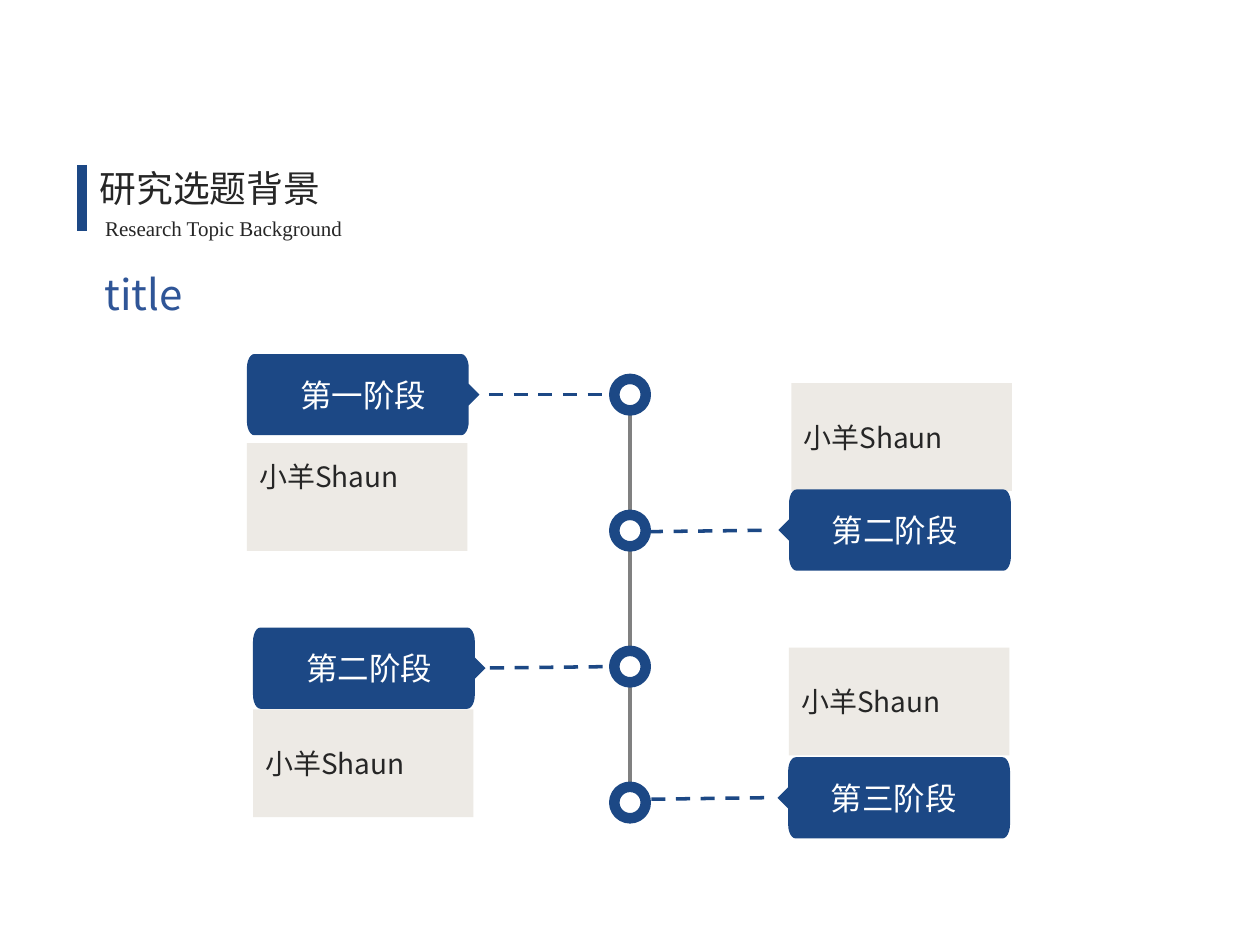
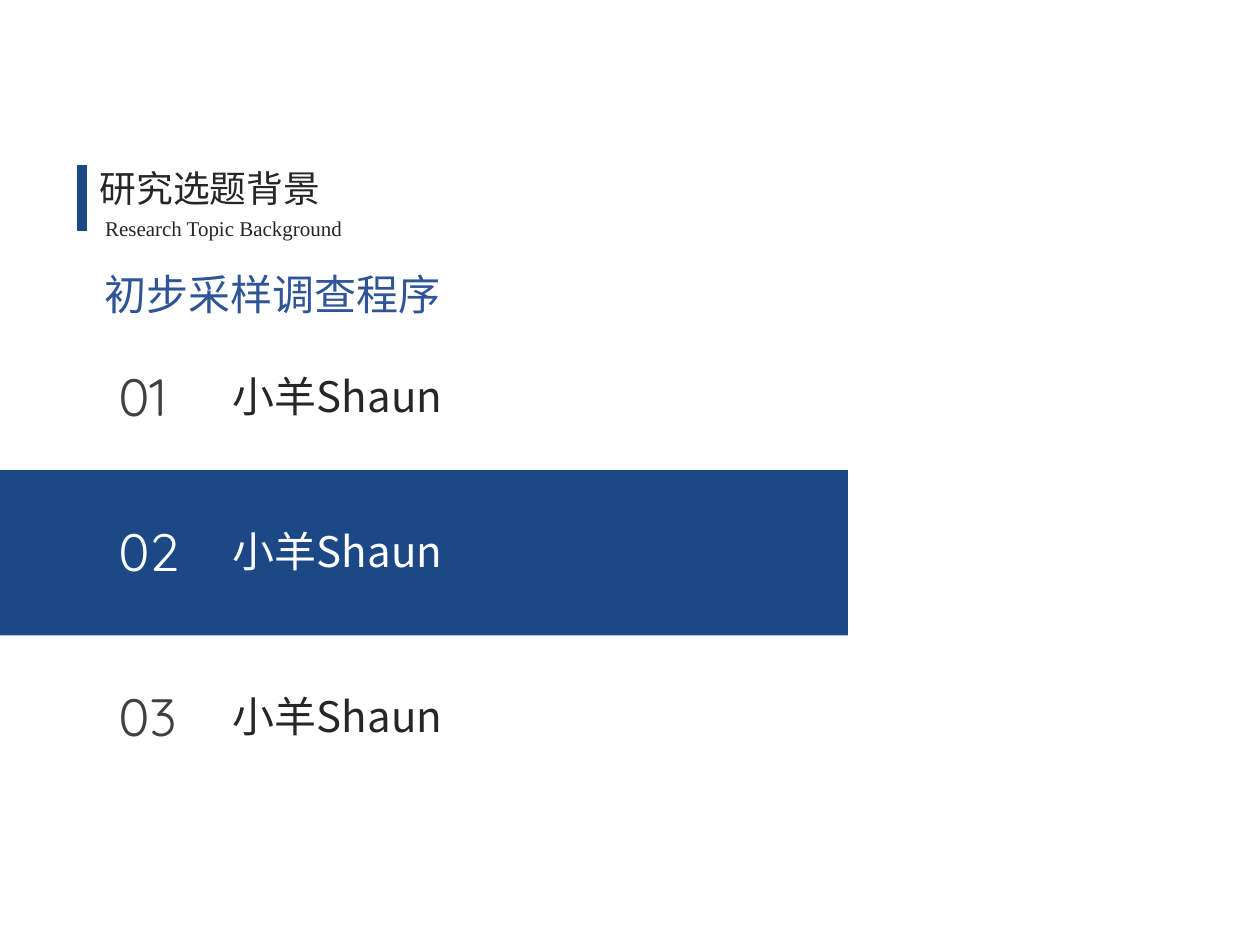
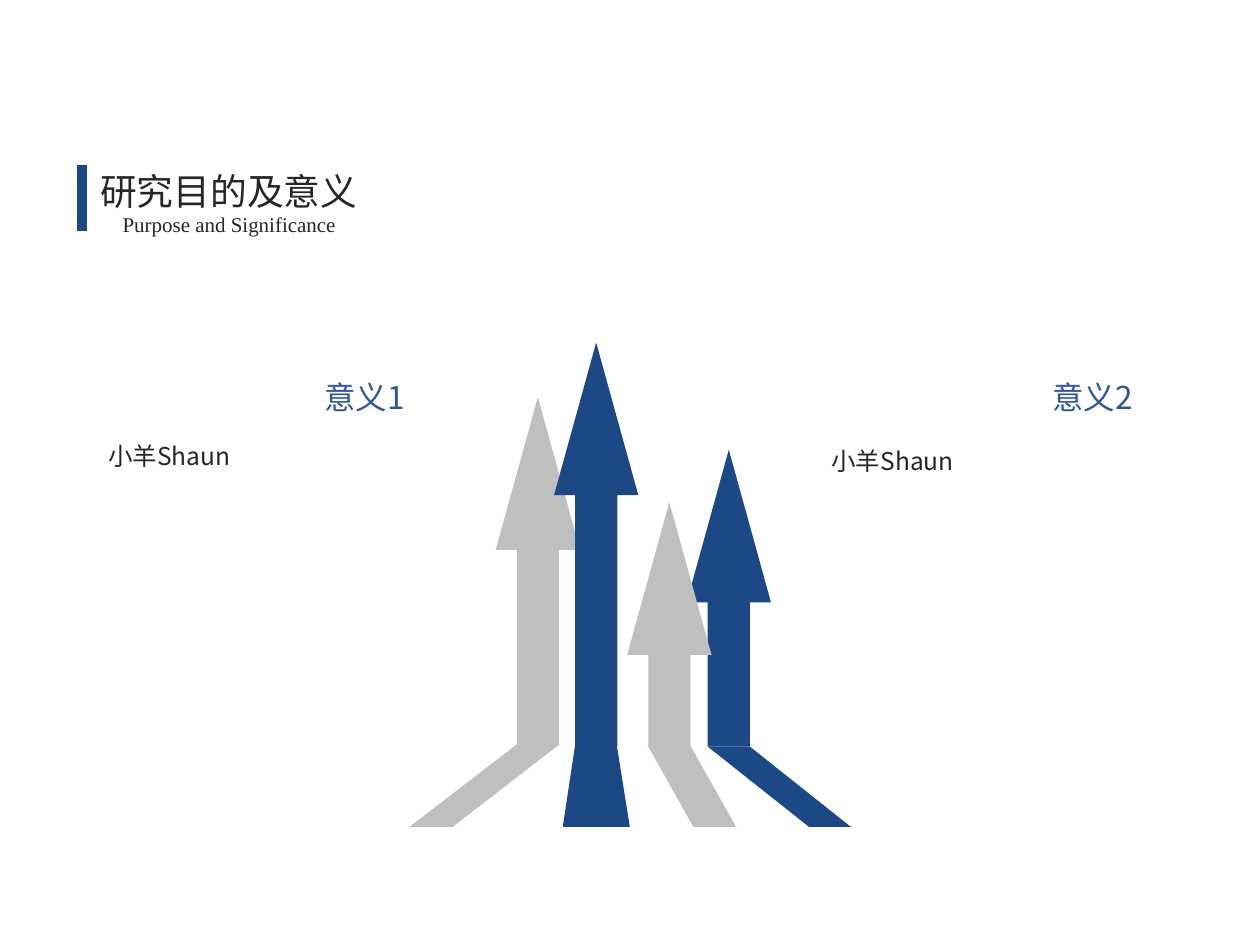
from math import cos, sin, radians
from lxml.etree import SubElement
from pptx import Presentation
from pptx.dml.color import RGBColor
from pptx.enum.dml import MSO_LINE
from pptx.enum.shapes import MSO_CONNECTOR, MSO_SHAPE
from pptx.enum.text import MSO_ANCHOR, MSO_AUTO_SIZE, PP_ALIGN
from pptx.oxml.ns import qn
from pptx.util import Pt

# Shared look
NAVY = RGBColor(0x1C, 0x48, 0x85)
BLUE = RGBColor(0x2F, 0x55, 0x97)
INK = RGBColor(0x26, 0x26, 0x26)
NUMBER_GRAY = RGBColor(0x40, 0x40, 0x40)
AXIS_GRAY = RGBColor(0x80, 0x80, 0x80)
ARROW_GRAY = RGBColor(0xBF, 0xBF, 0xBF)
SAND = RGBColor(0xED, 0xEA, 0xE5)
WHITE = RGBColor(0xFF, 0xFF, 0xFF)

SANS = "Noto Sans CJK SC"
SERIF = "Times New Roman"
DIGITS = "Quicksand"
BODY_TEXT = "小羊Shaun"

# Callout geometry
CALLOUT_WIDTH, CALLOUT_HEIGHT, TIP = 126.8, 46.4, 6.1
CORNER_X, CORNER_Y = 4.3, 8


def write(shape, text, size, color, font=SANS, align=PP_ALIGN.LEFT):
    """Fill a shape with one formatted line of text."""
    frame = shape.text_frame
    frame.text = text
    frame.word_wrap = True
    para = frame.paragraphs[0]
    para.alignment = align
    span = para.runs[0]
    span.font.size = Pt(size)
    span.font.color.rgb = color
    span.font.name = font
    east_asian = SubElement(span._r.get_or_add_rPr(), qn("a:ea"))
    east_asian.set("typeface", SANS)


def add_text(page, left, top, width, height, text, size, color, **style):
    box = page.shapes.add_textbox(Pt(left), Pt(top), Pt(width), Pt(height))
    write(box, text, size, color, **style)
    box.text_frame.auto_size = MSO_AUTO_SIZE.SHAPE_TO_FIT_TEXT


def paint(shape, color):
    shape.shadow.inherit = False
    shape.fill.solid()
    shape.fill.fore_color.rgb = color
    shape.line.fill.background()


def add_block(page, kind, left, top, width, height, color):
    block = page.shapes.add_shape(kind, Pt(left), Pt(top), Pt(width), Pt(height))
    paint(block, color)
    return block


def add_outline(page, points, color):
    """Closed polygon through points."""
    corners = [(Pt(x), Pt(y)) for x, y in points]
    builder = page.shapes.build_freeform(*corners[0])
    builder.add_line_segments(corners[1:], close=True)
    outline = builder.convert_to_shape()
    paint(outline, color)
    return outline


def add_line(page, start, end, color, width, dashed=False):
    line = page.shapes.add_connector(
        MSO_CONNECTOR.STRAIGHT, *[Pt(value) for value in (*start, *end)])
    line.line.color.rgb = color
    line.line.width = Pt(width)
    if dashed:
        line.line.dash_style = MSO_LINE.DASH
    SubElement(line._element.spPr, qn("a:effectLst"))


def add_page(deck, title, title_at, font, subtitle, subtitle_at):
    """Page with the heading, its English line and the side bar."""
    page = deck.slides.add_slide(deck.slide_layouts[5])
    heading = page.shapes.title
    heading.left, heading.top = Pt(title_at[0]), Pt(title_at[1])
    heading.width, heading.height = Pt(167.8), Pt(32.4)
    write(heading, title, 21, INK, font=font, align=PP_ALIGN.CENTER)
    heading.text_frame.vertical_anchor = MSO_ANCHOR.TOP
    heading.text_frame.auto_size = MSO_AUTO_SIZE.SHAPE_TO_FIT_TEXT
    add_text(page, *subtitle_at, 21.6, subtitle, 12, INK,
             font=SERIF, align=PP_ALIGN.CENTER)
    add_line(page, (46.8, 94.3), (46.8, 131.8), NAVY, 6)
    return page


def add_background_page(deck, section):
    page = add_page(deck, "研究选题背景", (36, 91.4), SANS,
                    "Research Topic Background", (46.8, 119.5, 162))
    add_text(page, 52.6, 149.8, 336.2, 36, section, 24, BLUE)
    return page


def add_callout(page, left, top, label, tip_right):
    """Rounded label with a small tip on the side facing the axis."""
    middle_x, middle_y = CALLOUT_WIDTH / 2, CALLOUT_HEIGHT / 2
    points = [(middle_x, -TIP), (middle_x + TIP, 0), (middle_x, TIP)]
    for quarter in range(4):
        side_x = 1 if quarter in (0, 3) else -1
        side_y = 1 if quarter < 2 else -1
        for step in range(7):
            angle = radians(90 * quarter + 15 * step)
            points.append((side_x * (middle_x - CORNER_X) + CORNER_X * cos(angle),
                           side_y * (middle_y - CORNER_Y) + CORNER_Y * sin(angle)))
    facing = 1 if tip_right else -1
    callout = add_outline(page, [(left + middle_x + facing * x, top + middle_y + y)
                                 for x, y in points], NAVY)
    write(callout, label, 18, WHITE, align=PP_ALIGN.CENTER)
    callout.text_frame.vertical_anchor = MSO_ANCHOR.MIDDLE


def add_note(page, left, top, bottom_margin):
    note = add_block(page, MSO_SHAPE.RECTANGLE, left, top, 126, 61.6, SAND)
    write(note, BODY_TEXT, 16, INK, align=PP_ALIGN.JUSTIFY)
    note.text_frame.vertical_anchor = MSO_ANCHOR.MIDDLE
    note.text_frame.margin_bottom = Pt(bottom_margin)


def add_ring(page, center_x, center_y):
    ring = add_block(page, MSO_SHAPE.OVAL, center_x - 9, center_y - 9, 18, 18, WHITE)
    ring.line.color.rgb = NAVY
    ring.line.width = Pt(6)


def build_timeline(deck):
    page = add_background_page(deck, "title")
    # label, callout place, note place, note bottom margin, dash start and end
    stages = [
        ("第一阶段", (141.1, 202.3), (141.1, 253.2), 27, (279.4, 225.4), (351.4, 225.4)),
        ("第二阶段", (450.9, 279.7), (452.2, 218.9), 3.6, (370.8, 303.8), (439.9, 303)),
        ("第二阶段", (144.6, 358.6), (144.6, 405.4), 3.6, (280, 381.7), (350.6, 380.9)),
        ("第三阶段", (450.4, 432.7), (450.8, 370), 3.6, (372.2, 456.7), (440.6, 455.8)),
    ]
    for _, _, note_at, bottom_margin, _, _ in stages:
        add_note(page, *note_at, bottom_margin)
    # Axis with equally spaced rings
    add_line(page, (360, 216.7), (360, 467.3), AXIS_GRAY, 2)
    for index in range(len(stages)):
        add_ring(page, 360, 225.5 + 77.7 * index)
    for index, (label, callout_at, _, _, start, end) in enumerate(stages):
        add_line(page, start, end, NAVY, 2, dashed=True)
        add_callout(page, *callout_at, label, tip_right=index % 2 == 0)


def build_steps(deck):
    page = add_background_page(deck, "初步采样调查程序")
    add_block(page, MSO_SHAPE.RECTANGLE, 0, 268.7, 484.6, 94.4, NAVY)
    rows = [("01", 204.5, NUMBER_GRAY, INK, PP_ALIGN.JUSTIFY),
            ("02", 293, WHITE, WHITE, PP_ALIGN.LEFT),
            ("03", 387.4, NUMBER_GRAY, INK, PP_ALIGN.JUSTIFY)]
    for number, top, number_color, text_color, align in rows:
        add_text(page, 60.5, top, 51.1, 43.9, number, 30, number_color, font=DIGITS)
        add_text(page, 126, top + 3.6, 243.4, 36, BODY_TEXT, 24, text_color, align=align)


def build_purpose(deck):
    page = add_page(deck, "研究目的及意义", (46.8, 92.9), "Arial",
                    "Purpose and Significance", (53.3, 117.4, 155.5))
    # Arrows from back to front: left, top, bottom, colour
    for left, top, bottom, color in [(283.3, 227, 425.7, ARROW_GRAY),
                                     (392.4, 257, 426.7, NAVY),
                                     (358.4, 287, 426.7, ARROW_GRAY),
                                     (316.6, 195.8, 426.7, NAVY)]:
        arrow = add_block(page, MSO_SHAPE.UP_ARROW, left, top, 48.2, bottom - top, color)
        arrow.adjustments[0] = 0.5
        arrow.adjustments[1] = 1.81
    # Feet: top edge, its two ends, then the two ends on the ground
    ground = 472.5
    for top, top_left, top_right, low_right, low_left, color in [
            (425.5, 295.3, 319.5, 258.7, 234, ARROW_GRAY),
            (426.7, 404.5, 428.6, 486.2, 462.3, NAVY),
            (423.4, 329, 352.1, 359.9, 321.6, NAVY),
            (425.7, 370, 394.3, 420.6, 396.2, ARROW_GRAY)]:
        add_outline(page, [(top_left, top), (top_right, top),
                           (low_right, ground), (low_left, ground)], color)
    # Heading and text on either side
    add_text(page, 22.3, 212.4, 216, 28.8, "意义1", 18, BLUE, align=PP_ALIGN.RIGHT)
    add_text(page, 54.7, 248.4, 180, 24.5, BODY_TEXT, 14, INK, align=PP_ALIGN.JUSTIFY)
    add_text(page, 431.3, 212.4, 223.2, 28.8, "意义2", 18, BLUE, align=PP_ALIGN.RIGHT)
    add_text(page, 468, 251.3, 186.5, 24.5, BODY_TEXT, 14, INK, align=PP_ALIGN.JUSTIFY)


def main():
    deck = Presentation()
    deck.slide_width, deck.slide_height = Pt(720), Pt(540)
    build_timeline(deck)
    build_steps(deck)
    build_purpose(deck)
    deck.save("out.pptx")


main()
